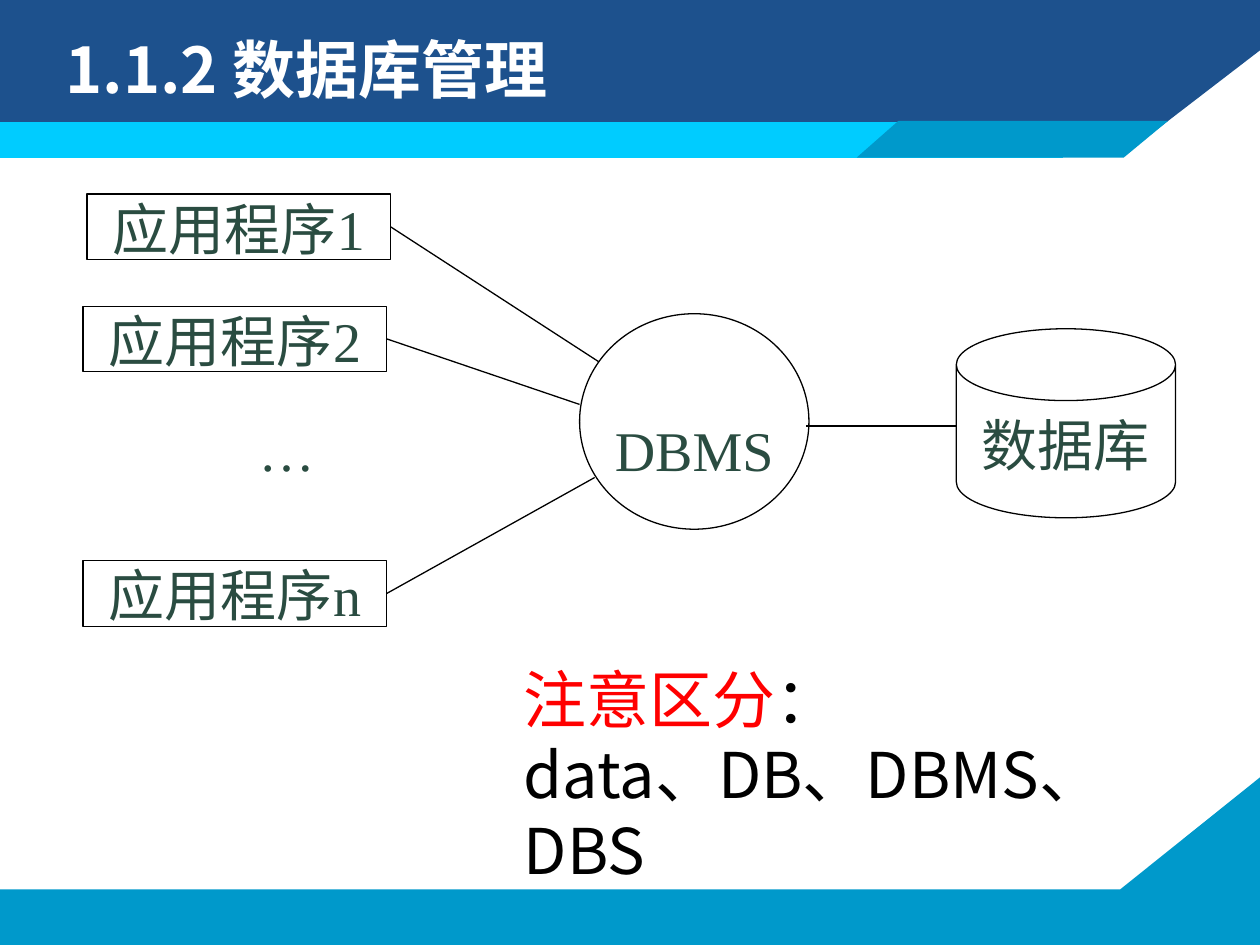
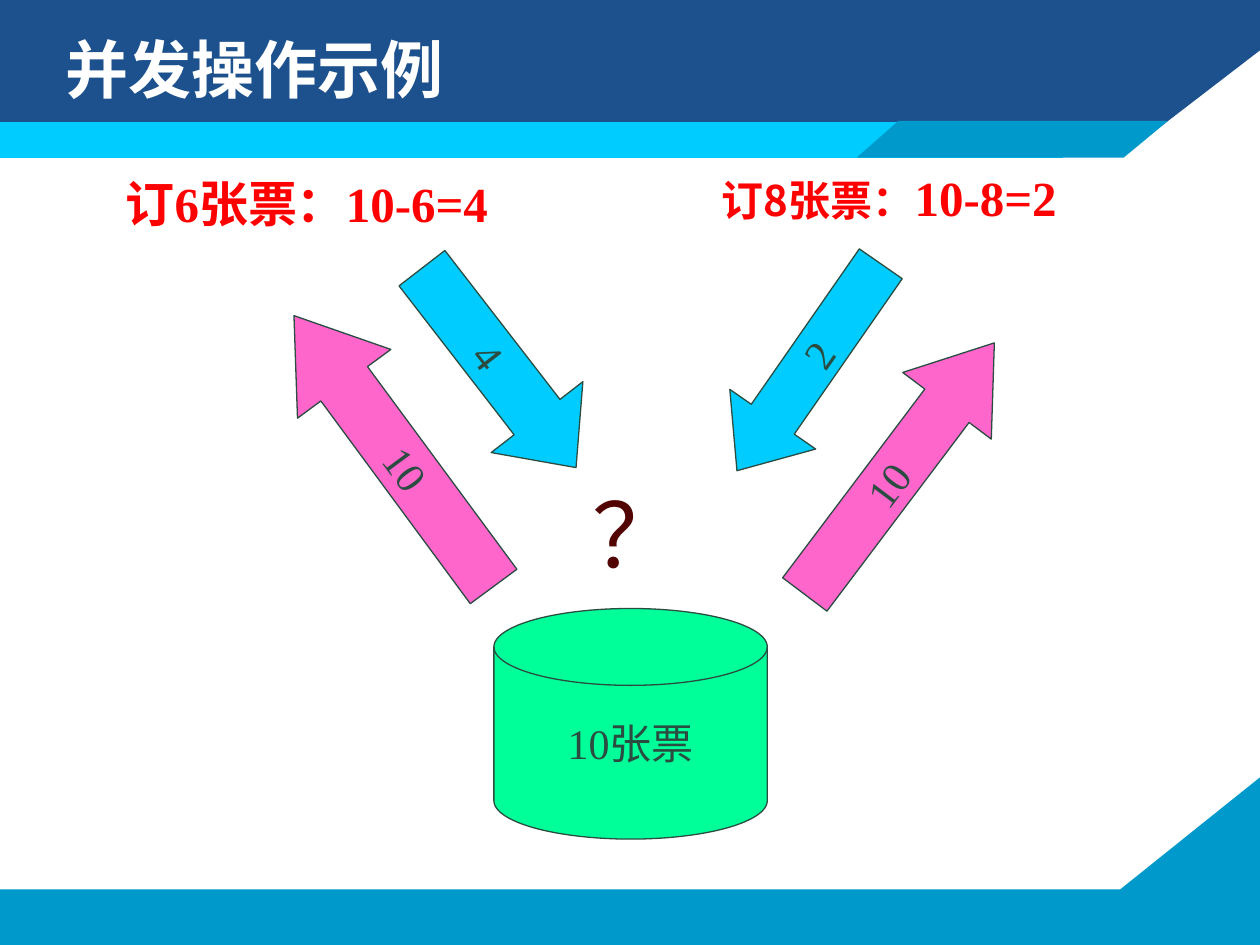
"""Build two slides on database management and concurrent ticket booking."""
from dataclasses import dataclass
from typing import Optional

from lxml import etree
from pptx import Presentation
from pptx import util as u
from pptx.dml import color
from pptx.enum import shapes, text
from pptx.oxml import ns

SCALE = 9144
WIDTH, HEIGHT = 1000, 750
Kind = shapes.MSO_SHAPE
Anchor = text.MSO_ANCHOR
Align = text.PP_ALIGN


@dataclass(frozen=True)
class Theme:
    """Colours, typefaces and type sizes of the deck."""
    navy: str = "1D518D"
    blue: str = "0099CB"
    cyan: str = "00CCFF"
    pink: str = "FF66CC"
    mint: str = "00FF99"
    white: str = "FFFFFF"
    black: str = "000000"
    red: str = "FF0000"
    maroon: str = "520402"
    pine: str = "2A4C41"
    sans: str = "Noto Sans CJK SC"
    sans_kr: str = "Noto Sans CJK KR"
    serif: str = "Times New Roman"
    title: int = 36
    diagram: int = 32
    booking: int = 28
    label: int = 24
    question: int = 51
    hairline: float = 0.75


THEME = Theme()


@dataclass(frozen=True)
class Area:
    """A rectangle in px."""
    left: int
    top: int
    width: int
    height: int

    def emu(self) -> list[int]:
        """Return left, top, width and height in EMU."""
        return [emu(n) for n in (self.left, self.top, self.width, self.height)]


@dataclass(frozen=True)
class Band:
    """A filled outline shared by all slides."""
    fill: str
    points: tuple


@dataclass(frozen=True)
class Program:
    """An application box and the point where its line meets the DBMS."""
    name: str
    left: int
    top: int
    meets: tuple


@dataclass(frozen=True)
class Arrow:
    """A turned block arrow carrying a ticket count."""
    count: str
    kind: Kind
    area: Area
    turn: float
    head: float
    fill: str


BANDS = (
    Band(THEME.blue, ((0, 706), (889, 706), (1000, 617), (1000, 750), (0, 750))),
    Band(THEME.navy, ((0, 0), (1000, 0), (1000, 40), (892, 123), (0, 124))),
    Band(THEME.cyan, ((0, 97), (844, 97), (844, 125), (0, 125))),
    Band(THEME.blue, ((680, 125), (892, 125), (927, 96), (713, 96))),
)
PROGRAMS = (
    Program("应用程序1", 69, 154, (475, 287)),
    Program("应用程序2", 66, 243, (460, 321)),
    Program("应用程序n", 66, 445, (472, 379)),
)
ARROWS = (
    Arrow("4", Kind.RIGHT_ARROW, Area(296, 246, 200, 92), 52.3, 0.55, THEME.cyan),
    Arrow("2", Kind.LEFT_ARROW, Area(542, 250, 200, 83), 304.8, 0.6, THEME.cyan),
    Arrow("10", Kind.LEFT_ARROW, Area(179, 312, 267, 92), 53.6, 0.73, THEME.pink),
    Arrow("10", Kind.RIGHT_ARROW, Area(589, 328, 250, 88), 307, 0.71, THEME.pink),
)


def emu(px: int) -> int:
    """Turn px into EMU."""
    return px * SCALE


def rgb(code: str) -> color.RGBColor:
    """Turn a hex code into a colour."""
    return color.RGBColor.from_string(code)


def write(para, wording: str, *, size: int, ink: str = THEME.pine,
          face: str = THEME.serif, east: str = THEME.sans, bold: bool = False) -> None:
    """Add a formatted span to a paragraph."""
    span = para.add_run()
    span.text = wording
    font = span.font
    font.size, font.bold = u.Pt(size), bold
    font.color.rgb = rgb(ink)
    font.name = face
    etree.SubElement(span._r.get_or_add_rPr(), ns.qn("a:ea"), typeface=east)


def set_frame(box, *, anchor: Anchor = Anchor.TOP, align: Align = Align.LEFT,
              inset: tuple = (10, 5, 10, 5), wrap: bool = True):
    """Lay out the text frame of a box and return its first paragraph."""
    frame = box.text_frame
    frame.word_wrap = wrap
    frame.auto_size = text.MSO_AUTO_SIZE.NONE
    frame.vertical_anchor = anchor
    (frame.margin_left, frame.margin_top,
     frame.margin_right, frame.margin_bottom) = map(emu, inset)
    para = frame.paragraphs[0]
    para.alignment = align
    return para


def paint(shape, fill: str, line: Optional[str] = None) -> None:
    """Set the fill and outline of a shape, without shadow."""
    shape.shadow.inherit = False
    shape.fill.solid()
    shape.fill.fore_color.rgb = rgb(fill)
    if line:
        shape.line.color.rgb = rgb(line)
        shape.line.width = u.Pt(THEME.hairline)
    else:
        shape.line.fill.background()


def add_node(page, kind: Kind, area: Area, wording: str, *, fill: str = THEME.white,
             line: Optional[str] = THEME.black, size: int = THEME.diagram, **layout):
    """Add a preset shape with a centred label."""
    node = page.shapes.add_shape(kind, *area.emu())
    paint(node, fill, line)
    write(set_frame(node, align=Align.CENTER, **layout), wording, size=size)
    return node


def add_line(page, start: tuple, end: tuple):
    """Add a thin straight connector."""
    line = page.shapes.add_connector(
        shapes.MSO_CONNECTOR.STRAIGHT, *map(emu, start + end))
    line.line.color.rgb = rgb(THEME.black)
    line.line.width = u.Pt(THEME.hairline)
    etree.SubElement(line.element.spPr, ns.qn("a:effectLst"))
    return line


def add_note(page, area: Area, **layout):
    """Add a text box and return its first paragraph and frame."""
    box = page.shapes.add_textbox(*area.emu())
    return set_frame(box, **layout), box.text_frame


def add_page(deck, heading: str):
    """Add a slide with the shared bands and a title."""
    page = deck.slides.add_slide(deck.slide_layouts[5])
    for band in BANDS:
        outline = page.shapes.build_freeform(*band.points[0], scale=SCALE)
        outline.add_line_segments(band.points[1:])
        paint(outline.convert_to_shape(), band.fill)
    title = page.shapes.title
    title.left, title.top, title.width, title.height = Area(42, 17, 742, 75).emu()
    write(set_frame(title, anchor=Anchor.MIDDLE), heading, size=THEME.title,
          ink=THEME.white, face=THEME.sans, bold=True)
    title.element.getparent().append(title.element)
    return page


def add_dbms_page(deck) -> None:
    """Show programs reaching the database through the DBMS."""
    page = add_page(deck, "1.1.2 数据库管理")
    flat = (10, 0, 10, 0)
    add_node(page, Kind.RECTANGLE, Area(107, 330, 241, 52), "…", line=None, inset=flat)
    boxes = [add_node(page, Kind.RECTANGLE, Area(program.left, program.top, 241, 52),
                      program.name, inset=flat) for program in PROGRAMS]
    add_node(page, Kind.OVAL, Area(460, 249, 182, 171), "DBMS", inset=(0, 56, 0, 0))
    database = add_node(page, Kind.CAN, Area(759, 261, 174, 150), "数据库",
                        inset=(0, 8, 0, 0))
    database.adjustments[0] = 0.38
    add_line(page, (640, 338), (759, 338))
    for program, box in zip(PROGRAMS, boxes):
        side = (program.left + 241, program.top + 26)
        add_line(page, side, program.meets).begin_connect(box, 3)
    para, frame = add_note(page, Area(406, 519, 567, 131))
    write(para, "注意区分", size=THEME.title, ink=THEME.red, face=THEME.sans)
    write(para, "：", size=THEME.title, ink=THEME.black, face=THEME.sans)
    write(frame.add_paragraph(), "data、DB、DBMS、DBS", size=THEME.title,
          ink=THEME.black, face=THEME.sans)


def add_booking_page(deck) -> None:
    """Show two bookings that overwrite each other."""
    page = add_page(deck, "并发操作示例")
    centred = dict(anchor=Anchor.MIDDLE, wrap=False, line=THEME.pine, size=THEME.label)
    add_node(page, Kind.FLOWCHART_MAGNETIC_DISK, Area(392, 483, 217, 183), "10张票",
             fill=THEME.mint, **centred)
    para, _ = add_note(page, Area(563, 128, 299, 57))
    write(para, "订8张票：", size=THEME.label, ink=THEME.red, face=THEME.sans_kr,
          east=THEME.sans_kr, bold=True)
    write(para, "10-8=2", size=THEME.booking, ink=THEME.red, bold=True)
    para, _ = add_note(page, Area(90, 133, 323, 57))
    write(para, "订6张票：10-6=4", size=THEME.booking, ink=THEME.red, bold=True)
    for arrow in ARROWS:
        node = add_node(page, arrow.kind, arrow.area, arrow.count,
                        fill=arrow.fill, **centred)
        node.adjustments[1] = arrow.head
        node.rotation = arrow.turn
    para, _ = add_note(page, Area(475, 392, 62, 83), align=Align.CENTER, wrap=False)
    para.line_spacing = 0.8
    write(para, "？", size=THEME.question, ink=THEME.maroon, face=THEME.sans)


def main() -> None:
    """Build and save the deck."""
    deck = Presentation()
    deck.slide_width, deck.slide_height = emu(WIDTH), emu(HEIGHT)
    add_dbms_page(deck)
    add_booking_page(deck)
    deck.save("out.pptx")


if __name__ == "__main__":
    main()
